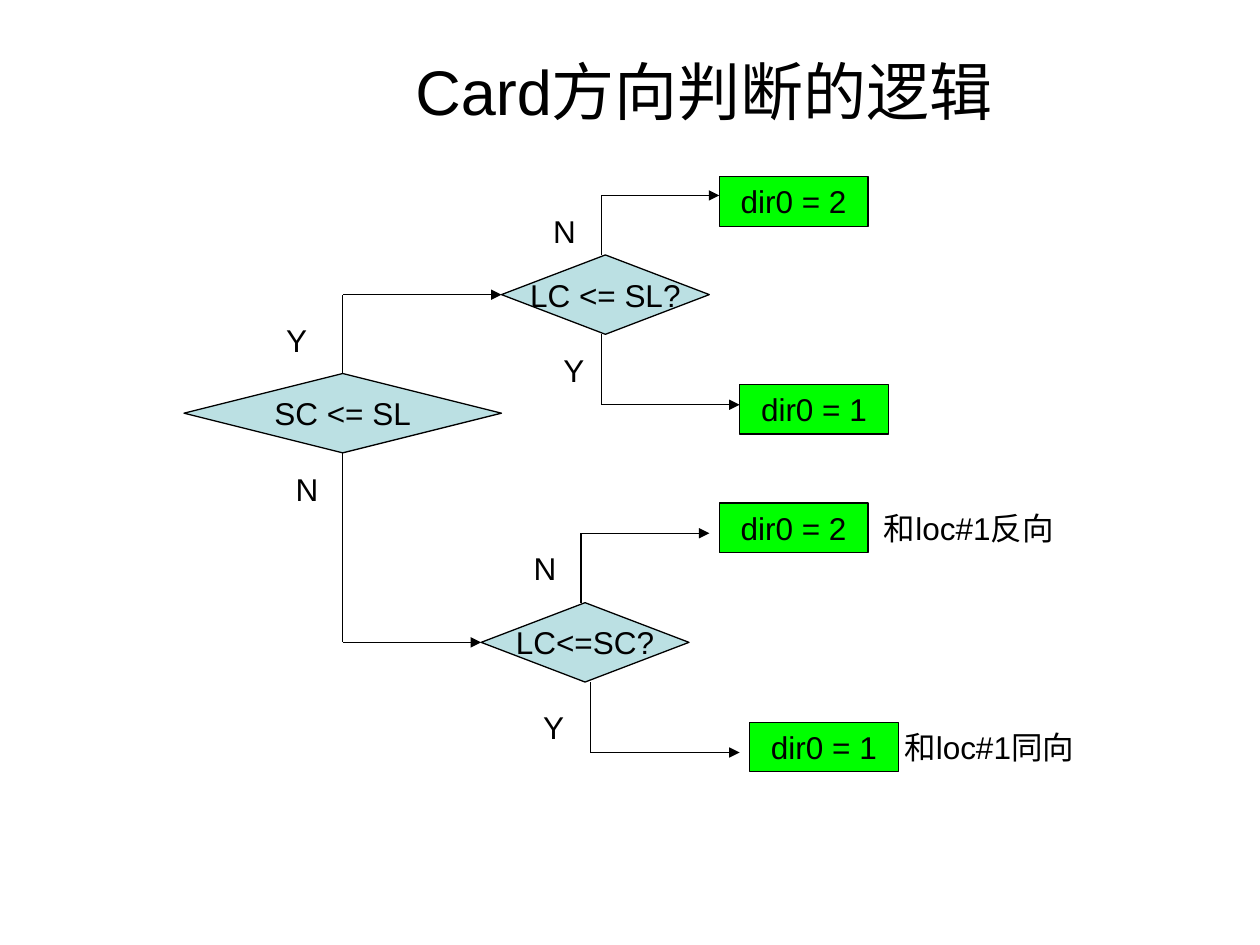
from collections import namedtuple

from lxml.etree import SubElement
from pptx import Presentation
from pptx.dml.color import RGBColor
from pptx.enum.shapes import MSO_CONNECTOR, MSO_SHAPE as Shape
from pptx.enum.text import MSO_ANCHOR as Anchor, MSO_AUTO_SIZE as AutoSize, PP_ALIGN as Align
from pptx.oxml.ns import qn
from pptx.util import Cm, Pt

COLORS = {"ink": "000000", "decision": "BBE0E3", "result": "00FF00"}
TOP, LEFT, BOTTOM = 0, 1, 2
DECISION_HEIGHT, SUB_WIDTH = 1.6, 4.19
RESULT_SIZE = (3, 1)

Box = namedtuple("Box", "left top width height")
Branch = namedtuple("Branch", "label label_at stem_x turn_y tip_x result result_at note note_gap",
                    defaults=(None, 0))


def color(name):
    """Return the named colour."""
    return RGBColor.from_string(COLORS[name])


def write(frame, text, size=18, align=Align.CENTER):
    """Fill a text frame with one formatted paragraph and return it."""
    frame.text = text
    para = frame.paragraphs[0]
    para.alignment = align
    para.font.name = "Arial"
    para.font.size = Pt(size)
    para.font.color.rgb = color("ink")
    return para


def add_node(page, kind, fill, text, box):
    """Add an outlined flowchart node."""
    node = page.shapes.add_shape(kind, *map(Cm, box))
    node.shadow.inherit = False
    node.fill.solid()
    node.fill.fore_color.rgb = color(fill)
    node.line.color.rgb = color("ink")
    node.line.width = Pt(0.75)
    node.text_frame.vertical_anchor = Anchor.MIDDLE
    node.text_frame.word_wrap = False
    write(node.text_frame, text)
    return node


def add_decision(page, text, box):
    """Add a decision diamond."""
    return add_node(page, Shape.FLOWCHART_DECISION, "decision", text, box)


def add_label(page, text, left, top):
    """Add a branch letter."""
    frame = page.shapes.add_textbox(Cm(left), Cm(top), Cm(0.94), Cm(1.02)).text_frame
    frame.word_wrap = False
    frame.auto_size = AutoSize.SHAPE_TO_FIT_TEXT
    write(frame, text)


def add_note(page, text, left, top):
    """Add an indented remark next to a result."""
    frame = page.shapes.add_textbox(Cm(left), Cm(top), Cm(5.21), Cm(2.54)).text_frame
    frame.word_wrap = True
    write(frame, text, align=Align.LEFT).level = 1


def add_line(page, start, end, arrow=False):
    """Add a thin straight line, with an optional arrowhead at its end."""
    line = page.shapes.add_connector(MSO_CONNECTOR.STRAIGHT, *map(Cm, start + end))
    line.line.color.rgb = color("ink")
    line.line.width = Pt(0.75)
    if arrow:
        SubElement(line.line._get_or_add_ln(), qn("a:tailEnd"), type="triangle")
    SubElement(line._element.spPr, qn("a:effectLst"))
    return line


def add_elbow(page, start, end):
    """Go vertically from start, then horizontally to an arrowhead at end."""
    corner = (start[0], end[1])
    return add_line(page, start, corner), add_line(page, corner, end, arrow=True)


def build_title(page, box, text):
    """Place the title placeholder."""
    title = page.shapes.title
    title.left, title.top, title.width, title.height = map(Cm, box)
    title.text_frame.vertical_anchor = Anchor.MIDDLE
    title.text_frame.auto_size = AutoSize.NONE
    write(title.text_frame, text, size=36)


def build_outcomes(page, box, question, decision_y, branches):
    """Build a second-level decision with its results and return the diamond."""
    decision = add_decision(
        page, question, (box.left, box.top + decision_y, SUB_WIDTH, DECISION_HEIGHT))
    for branch in branches:
        goes_up = branch.turn_y < decision_y
        stem_y = decision_y if goes_up else decision_y + DECISION_HEIGHT
        stem_x = box.left + branch.stem_x
        add_elbow(page, (stem_x, box.top + stem_y),
                  (box.left + branch.tip_x, box.top + branch.turn_y))
        add_label(page, branch.label, box.left + branch.label_at[0], box.top + branch.label_at[1])
        left, top = box.left + branch.result_at[0], box.top + branch.result_at[1]
        add_node(page, Shape.FLOWCHART_PROCESS, "result", branch.result, (left, top, *RESULT_SIZE))
        if branch.note:
            add_note(page, branch.note, left + branch.note_gap, top)
    return decision


def build_root(page, box, question, routes):
    """Build the first decision and lead it to the second-level ones."""
    root = add_decision(page, question, box)
    middle = box.left + box.width / 2
    for label, label_x, label_y, side, target in routes:
        start = (middle, box.top if side == TOP else box.top + box.height)
        end = (target.left.cm, (target.top + target.height / 2) / Cm(1))
        stem, arrow = add_elbow(page, start, end)
        stem.begin_connect(root, side)
        arrow.end_connect(target, LEFT)
        add_label(page, label, box.left + label_x, box.top + label_y)


def main():
    """Build and save the deck."""
    deck = Presentation()
    deck.slide_width, deck.slide_height = Cm(25.4), Cm(19.05)
    page = deck.slides.add_slide(deck.slide_layouts[5])
    build_title(page, Box(4.9, 0.71, 18.59, 2.21), "Card方向判断的逻辑")
    upper = build_outcomes(page, Box(10.11, 3.56, 7.8, 5.19), "LC <= SL?", 1.58, [
        Branch("N", (0.79, 0.58), 2.01, 0.38, 4.39, "dir0 = 2", (4.39, 0)),
        Branch("Y", (0.99, 3.4), 2.01, 4.6, 4.8, "dir0 = 1", (4.8, 4.19)),
    ])
    lower = build_outcomes(page, Box(9.7, 10.14, 8.41, 5.42), "LC<=SC?", 2.01, [
        Branch("N", (0.81, 0.81), 2.01, 0.61, 4.6, "dir0 = 2", (4.8, 0), "和loc#1反向", 1.8),
        Branch("Y", (0.99, 4.01), 2.21, 5.03, 5.21, "dir0 = 1", (5.41, 4.42), "和loc#1同向", 1.6),
    ])
    build_root(page, Box(3.71, 7.53, 6.4, DECISION_HEIGHT), "SC <= SL", [
        ("Y", 1.8, -1.18, TOP, upper),
        ("N", 2, 1.82, BOTTOM, lower),
    ])
    deck.save("out.pptx")


if __name__ == "__main__":
    main()
